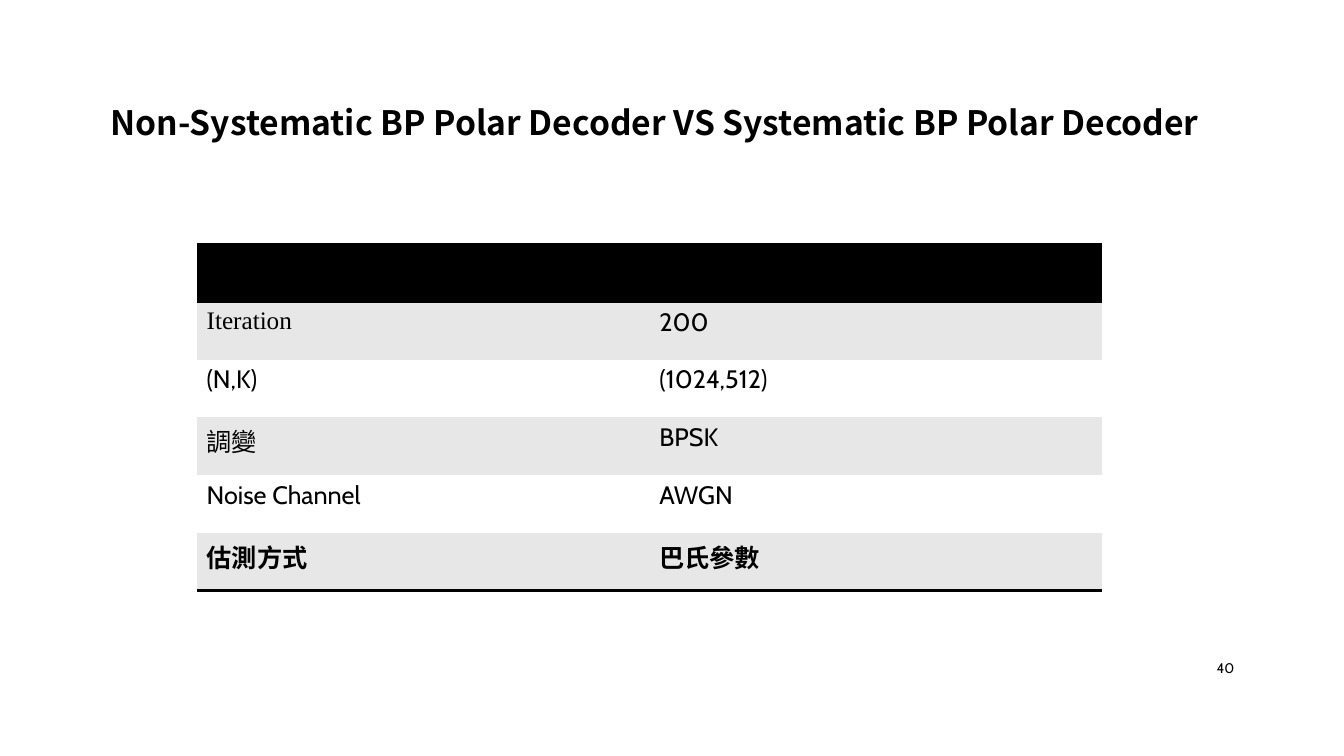
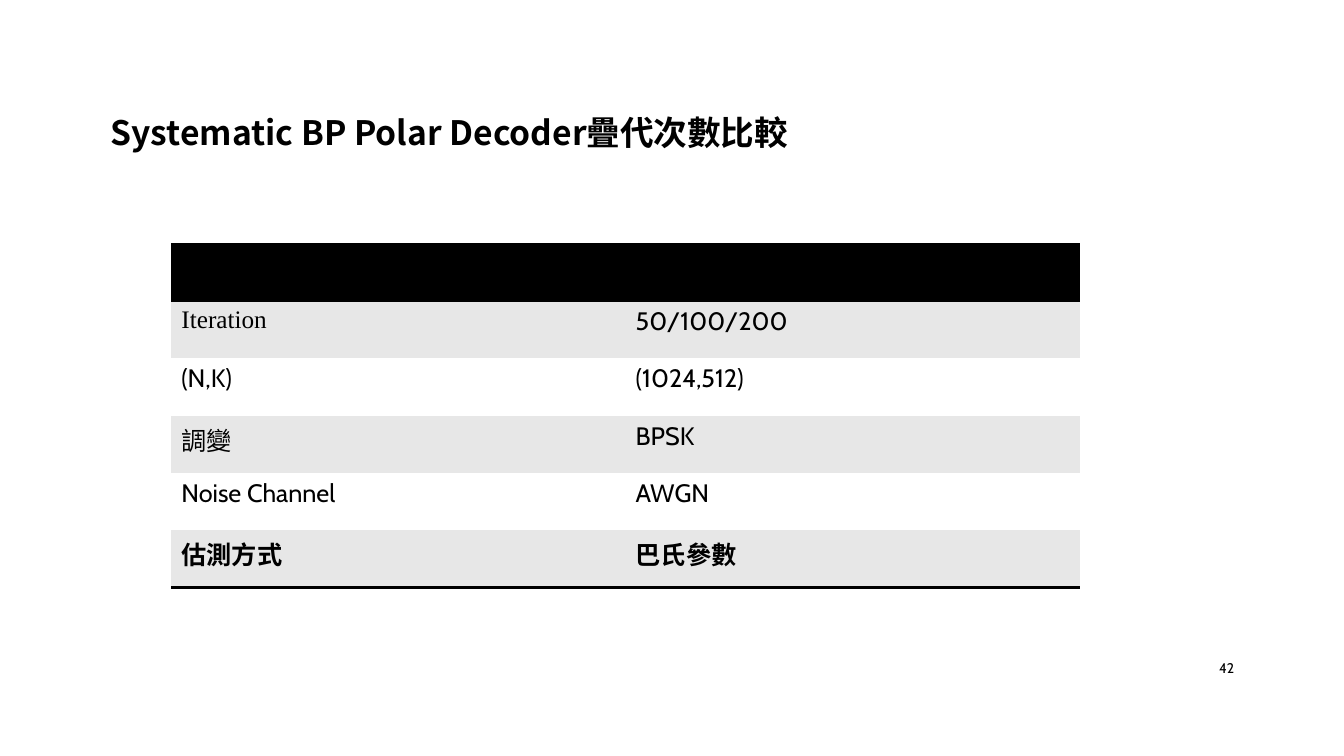
from lxml.etree import SubElement
from pptx import Presentation
from pptx.dml.color import RGBColor
from pptx.enum.text import MSO_ANCHOR, PP_ALIGN
from pptx.oxml import parse_xml
from pptx.oxml.ns import nsdecls, qn
from pptx.util import Emu, Pt

BLACK = RGBColor(0x00, 0x00, 0x00)
WHITE = RGBColor(0xFF, 0xFF, 0xFF)
BAND = RGBColor(0xE7, 0xE7, 0xE7)
BODY_FONT = "Cabin"
CJK_FONT = "Noto Sans CJK SC"
SERIF_FONT = "Times New Roman"
NO_STYLE = "{2D5ABB26-0587-4C30-8999-92F81FD0307C}"


def px(n):
    return Emu(n * 9144)


def write(tf, text, size=18, font=BODY_FONT, bold=False, align=None, spacing=None):
    p = tf.paragraphs[0]
    p.alignment = align
    p.line_spacing = spacing
    r = p.add_run()
    r.text = text
    r.font.size = Pt(size)
    r.font.name = font
    r.font.bold = bold
    r.font.color.rgb = BLACK
    SubElement(r.font._element, qn("a:ea"), typeface=CJK_FONT)


def add_text(s, box, text, bottom=5, **fmt):
    tf = s.shapes.add_textbox(*map(px, box)).text_frame
    tf.word_wrap = True
    tf.vertical_anchor = MSO_ANCHOR.MIDDLE
    tf.margin_bottom = px(bottom)
    write(tf, text, **fmt)


def add_borders(cell, *sides):
    tcPr = cell._tc.get_or_add_tcPr()
    for i, side in enumerate(sides):
        tcPr.insert(i, parse_xml(
            f'<a:{side} {nsdecls("a")} w="{Pt(2)}"><a:solidFill>'
            f'<a:srgbClr val="{BLACK}"/></a:solidFill></a:{side}>'))


def add_parameters(s, box, iterations):
    rows = [
        ("", ""),
        ("Iteration", iterations),
        ("(N,K)", "(1024,512)"),
        ("調變", "BPSK"),
        ("Noise Channel", "AWGN"),
        ("估測方式", "巴氏參數"),
    ]
    last = len(rows) - 1
    table = s.shapes.add_table(len(rows), 2, *map(px, box)).table
    table.first_row = table.horz_banding = False
    table._tbl.tblPr.find(qn("a:tableStyleId")).text = NO_STYLE
    for i, row in enumerate(rows):
        for j, text in enumerate(row):
            cell = table.cell(i, j)
            cell.fill.solid()
            cell.fill.fore_color.rgb = BLACK if i == 0 else BAND if i % 2 else WHITE
            if text:
                font = SERIF_FONT if text == "Iteration" else BODY_FONT
                write(cell.text_frame, text, font=font, bold=i == last)
            if i == 0:
                add_borders(cell, "lnT", "lnB")
            elif i == last:
                add_borders(cell, "lnB")


def add_slide(prs, title, number, title_bottom, table_box, iterations):
    s = prs.slides.add_slide(prs.slide_layouts[6])
    add_text(s, (100, 68, 1133, 175), title, bottom=title_bottom,
             size=24, font=CJK_FONT, bold=True, spacing=0.9)
    add_text(s, (1150, 643, 84, 40), number, size=10, align=PP_ALIGN.RIGHT)
    add_parameters(s, table_box, iterations)


def main():
    prs = Presentation()
    prs.slide_width, prs.slide_height = px(1333), px(750)
    add_slide(prs, "Non-Systematic BP Polar Decoder VS Systematic BP Polar Decoder",
              "40", 68, (195, 242, 898, 344), "200")
    add_slide(prs, "Systematic BP Polar Decoder疊代次數比較",
              "42", 48, (170, 242, 901, 341), "50/100/200")
    prs.save("out.pptx")


if __name__ == "__main__":
    main()
